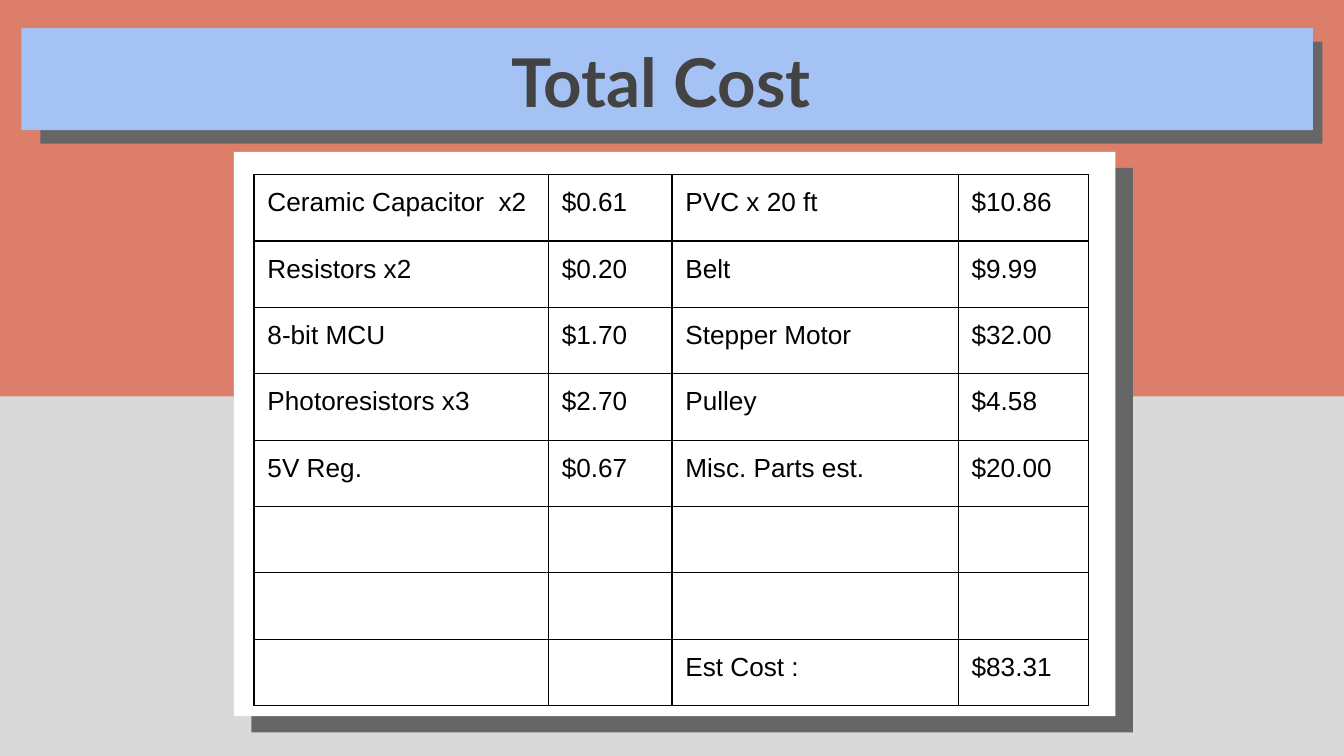
from pptx import Presentation
from pptx.dml.color import RGBColor
from pptx.enum.shapes import MSO_SHAPE
from pptx.enum.text import MSO_ANCHOR, PP_ALIGN
from pptx.oxml import parse_xml
from pptx.oxml.ns import nsdecls
from pptx.util import Inches, Pt

BLACK = RGBColor(0x00, 0x00, 0x00)
WHITE = RGBColor(0xFF, 0xFF, 0xFF)
LIGHT_GRAY = RGBColor(0xD9, 0xD9, 0xD9)
SHADOW_GRAY = RGBColor(0x66, 0x66, 0x66)
TITLE_GRAY = RGBColor(0x43, 0x43, 0x43)
CORAL = RGBColor(0xDD, 0x7E, 0x6B)
SKY_BLUE = RGBColor(0xA4, 0xC2, 0xF4)

COLUMN_WIDTHS = [2.19, 0.92, 2.13, 0.97]
TABLE_HEIGHT = 3.95
COSTS = [
    ["Ceramic Capacitor  x2", "$0.61", "PVC x 20 ft", "$10.86"],
    ["Resistors x2", "$0.20", "Belt", "$9.99"],
    ["8-bit MCU", "$1.70", "Stepper Motor", "$32.00"],
    ["Photoresistors x3", "$2.70", "Pulley", "$4.58"],
    ["5V Reg.", "$0.67", "Misc. Parts est.", "$20.00"],
    ["", "", "", ""],
    ["", "", "", ""],
    ["", "", "Est Cost :", "$83.31"],
]


class SlideBuilder:
    title_font = "Lato"
    body_font = "Arial"
    margin = Inches(0.1)

    def __init__(self, slide):
        self.slide = slide

    def background(self, color):
        fill = self.slide.background.fill
        fill.solid()
        fill.fore_color.rgb = color

    def panel(self, left, top, width, height, color):
        shape = self.slide.shapes.add_shape(
            MSO_SHAPE.RECTANGLE, Inches(left), Inches(top), Inches(width), Inches(height))
        shape.shadow.inherit = False
        shape.fill.solid()
        shape.fill.fore_color.rgb = color
        shape.line.fill.background()

    def set_margins(self, target):
        target.margin_left = target.margin_right = self.margin
        target.margin_top = target.margin_bottom = self.margin

    def title(self, text, left, top, width, height):
        """Place the title in front of everything added so far."""
        title = self.slide.shapes.title
        title.left, title.top = Inches(left), Inches(top)
        title.width, title.height = Inches(width), Inches(height)
        title.element.getparent().append(title.element)
        frame = title.text_frame
        self.set_margins(frame)
        frame.vertical_anchor = MSO_ANCHOR.BOTTOM
        frame.text = text
        paragraph = frame.paragraphs[0]
        paragraph.alignment = PP_ALIGN.CENTER
        self.set_font(paragraph, self.title_font, 36, TITLE_GRAY, bold=True)

    def set_font(self, paragraph, name, size, color, bold=False):
        font = paragraph.font
        font.name, font.size, font.bold = name, Pt(size), bold
        font.color.rgb = color

    def table(self, rows, left, top, column_widths, height):
        table = self.slide.shapes.add_table(
            len(rows), len(column_widths), Inches(left), Inches(top),
            Inches(sum(column_widths)), Inches(height)).table
        table.first_row = table.horz_banding = False
        for column, width in zip(table.columns, column_widths):
            column.width = Inches(width)
        for row_index, texts in enumerate(rows):
            for column_index, text in enumerate(texts):
                self.cell(table.cell(row_index, column_index), text)

    def cell(self, cell, text):
        if text:
            self.set_margins(cell)
        cell.text = text
        self.set_font(cell.text_frame.paragraphs[0], self.body_font, 14, BLACK)
        properties = cell._tc.get_or_add_tcPr()
        for side in ("lnL", "lnR", "lnT", "lnB"):
            properties.append(parse_xml(
                f'<a:{side} {nsdecls("a")} w="{Pt(0.75)}"><a:solidFill>'
                f'<a:srgbClr val="{BLACK}"/></a:solidFill></a:{side}>'))
        cell.fill.background()


def main():
    presentation = Presentation()
    presentation.slide_width = Inches(10)
    presentation.slide_height = Inches(10) * 9 // 16
    builder = SlideBuilder(presentation.slides.add_slide(presentation.slide_layouts[5]))
    builder.background(LIGHT_GRAY)
    builder.panel(-0.03, -0.04, 10.1, 2.99, CORAL)
    builder.panel(1.87, 1.25, 6.56, 4.2, SHADOW_GRAY)
    builder.panel(1.74, 1.13, 6.56, 4.2, WHITE)
    builder.panel(0.3, 0.31, 9.54, 0.76, SHADOW_GRAY)
    builder.panel(0.16, 0.21, 9.61, 0.76, SKY_BLUE)
    builder.title("Total Cost", 0.67, 0.33, 8.5, 0.67)
    builder.table(COSTS, 1.89, 1.3, COLUMN_WIDTHS, TABLE_HEIGHT)
    presentation.save("out.pptx")


if __name__ == "__main__":
    main()
